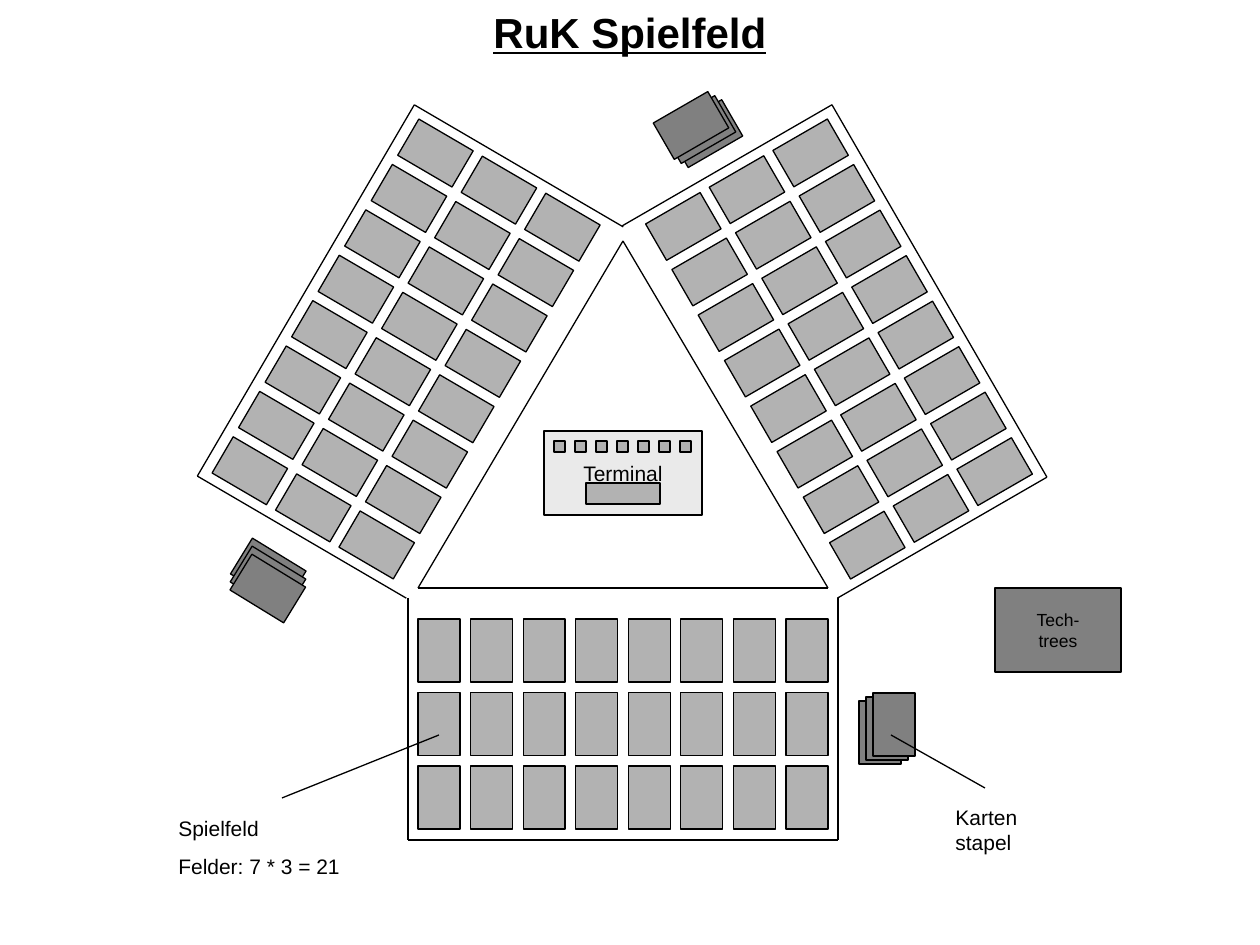
from itertools import pairwise, product
from math import cos, radians, sin

from lxml.etree import SubElement
from pptx import Presentation
from pptx.dml.color import RGBColor
from pptx.enum.shapes import MSO_CONNECTOR, MSO_SHAPE
from pptx.enum.text import MSO_ANCHOR, MSO_AUTO_SIZE, PP_ALIGN
from pptx.oxml.ns import qn
from pptx.util import Emu, Pt

PX_PER_INCH = 126
FONT = "Arial"
COLORS = {"ink": "000000", "field": "B2B2B2", "card": "808080", "terminal": "EAEAEA"}
CARD_WIDTH, CARD_HEIGHT = 42, 63


def px(length):
    return Emu(round(length * 914400 / PX_PER_INCH))


def color(name):
    return RGBColor.from_string(COLORS[name])


def rotate(x, y, angle):
    turn = radians(angle)
    return x * cos(turn) - y * sin(turn), x * sin(turn) + y * cos(turn)


def add_rectangle(shapes, box, fill, angle=0):
    shape = shapes.add_shape(MSO_SHAPE.RECTANGLE, *map(px, box))
    shape.rotation = angle
    shape.shadow.inherit = False
    shape.fill.solid()
    shape.fill.fore_color.rgb = color(fill)
    shape.line.color.rgb = color("ink")
    shape.line.width = Pt(0.75)
    return shape


def add_line(shapes, start, end):
    line = shapes.add_connector(MSO_CONNECTOR.STRAIGHT, *map(px, (*start, *end)))
    line.line.color.rgb = color("ink")
    line.line.width = Pt(0.75)
    SubElement(line._element.spPr, qn("a:effectLst"))


def add_text(frame, lines, size, align=PP_ALIGN.LEFT, space=0, bold=False, underline=False):
    for index, text in enumerate(lines):
        paragraph = frame.add_paragraph() if index else frame.paragraphs[0]
        paragraph.alignment = align
        paragraph.space_before = Pt(space if index else 0)
        run = paragraph.add_run()
        run.text = text
        run.font.name = FONT
        run.font.size = Pt(size)
        run.font.bold = bold
        run.font.underline = underline
        run.font.color.rgb = color("ink")


def add_box_text(shape, lines, size):
    shape.text_frame.word_wrap = False
    shape.text_frame.vertical_anchor = MSO_ANCHOR.MIDDLE
    add_text(shape.text_frame, lines, size, PP_ALIGN.CENTER)


def add_label(shapes, box, lines):
    frame = shapes.add_textbox(*map(px, box)).text_frame
    frame.word_wrap = True
    add_text(frame, lines, 12, space=7.5)


def add_title(slide, box, text):
    title = slide.shapes.title
    title.left, title.top, title.width, title.height = map(px, box)
    title.text_frame.auto_size = MSO_AUTO_SIZE.NONE
    title.text_frame.vertical_anchor = MSO_ANCHOR.TOP
    add_text(title.text_frame, [text], 24, PP_ALIGN.CENTER, bold=True, underline=True)


def add_board(slide, box, angle, columns=8, rows=3):
    """Grid of fields with a three-sided frame, turned around the box centre."""
    left, top, width, height = box
    shapes = slide.shapes.add_group_shape().shapes

    def turned(x, y):
        offset_x, offset_y = rotate(x - width / 2, y - height / 2, angle)
        return left + width / 2 + offset_x, top + height / 2 + offset_y

    # Fields
    pitch_x = (width - CARD_WIDTH) / (columns - 1)
    pitch_y = (height - CARD_HEIGHT) / (rows - 1)
    for row, column in product(range(rows), range(columns)):
        x, y = turned(column * pitch_x + CARD_WIDTH / 2, row * pitch_y + CARD_HEIGHT / 2)
        card = (x - CARD_WIDTH / 2, y - CARD_HEIGHT / 2, CARD_WIDTH, CARD_HEIGHT)
        add_rectangle(shapes, card, "field", angle)

    # Frame, open towards the middle
    side, open_end, closed_end = 10, -21, height + 11
    corners = [(-side, open_end), (-side, closed_end),
               (width + side, closed_end), (width + side, open_end)]
    for start, end in pairwise(turned(*corner) for corner in corners):
        add_line(shapes, start, end)


def add_card_stack(slide, box, angle):
    """Three cards fanned out around the middle one."""
    left, top, width, height = box
    shapes = slide.shapes.add_group_shape().shapes
    step_x, step_y = rotate(7, -4, angle)
    for step in (-1, 0, 1):
        card = (left + step * step_x, top + step * step_y, width, height)
        add_rectangle(shapes, card, "card", angle)


def add_triangle(slide, box):
    left, top, width, height = box
    apex = (left + width / 2, top)
    base_left, base_right = (left, top + height), (left + width, top + height)
    for start, end in pairwise([apex, base_left, base_right, apex]):
        add_line(slide.shapes, start, end)


def add_terminal(slide, box):
    left, top, width, height = box
    add_box_text(add_rectangle(slide.shapes, box, "terminal"), ["Terminal"], 12)
    add_rectangle(slide.shapes, (left + 42, top + 52, 74, 21), "field")
    for index in range(7):
        add_rectangle(slide.shapes, (left + 10 + 21 * index, top + 10, 11, 11), "field")


def main():
    presentation = Presentation()
    presentation.slide_width, presentation.slide_height = px(1260), px(945)
    slide = presentation.slides.add_slide(presentation.slide_layouts[5])
    add_title(slide, (367, 0, 526, 63), "RuK Spielfeld")

    # Player boards and their card stacks
    for left, top, angle in [(418, 619, 0), (201, 244, 120.3), (634, 244, 240)]:
        add_board(slide, (left, top, 410, 210), angle)
    for left, top, angle in [(866, 697, 0), (677, 98, 240), (247, 549, 121.5)]:
        add_card_stack(slide, (left, top, CARD_WIDTH, CARD_HEIGHT), angle)

    # Shared parts
    tech_trees = add_rectangle(slide.shapes, (995, 588, 126, 84), "card")
    add_box_text(tech_trees, ["Tech-", "trees"], 10)
    add_triangle(slide, (418, 241, 410, 347))
    add_terminal(slide, (544, 431, 158, 84))

    # Labels with leader lines
    add_line(slide.shapes, (891, 735), (985, 788))
    add_label(slide.shapes, (943, 798, 95, 63), ["Kartenstapel"])
    add_line(slide.shapes, (439, 735), (282, 798))
    add_label(slide.shapes, (166, 809, 262, 77), ["Spielfeld", "Felder: 7 * 3 = 21"])

    presentation.save("out.pptx")


if __name__ == "__main__":
    main()
